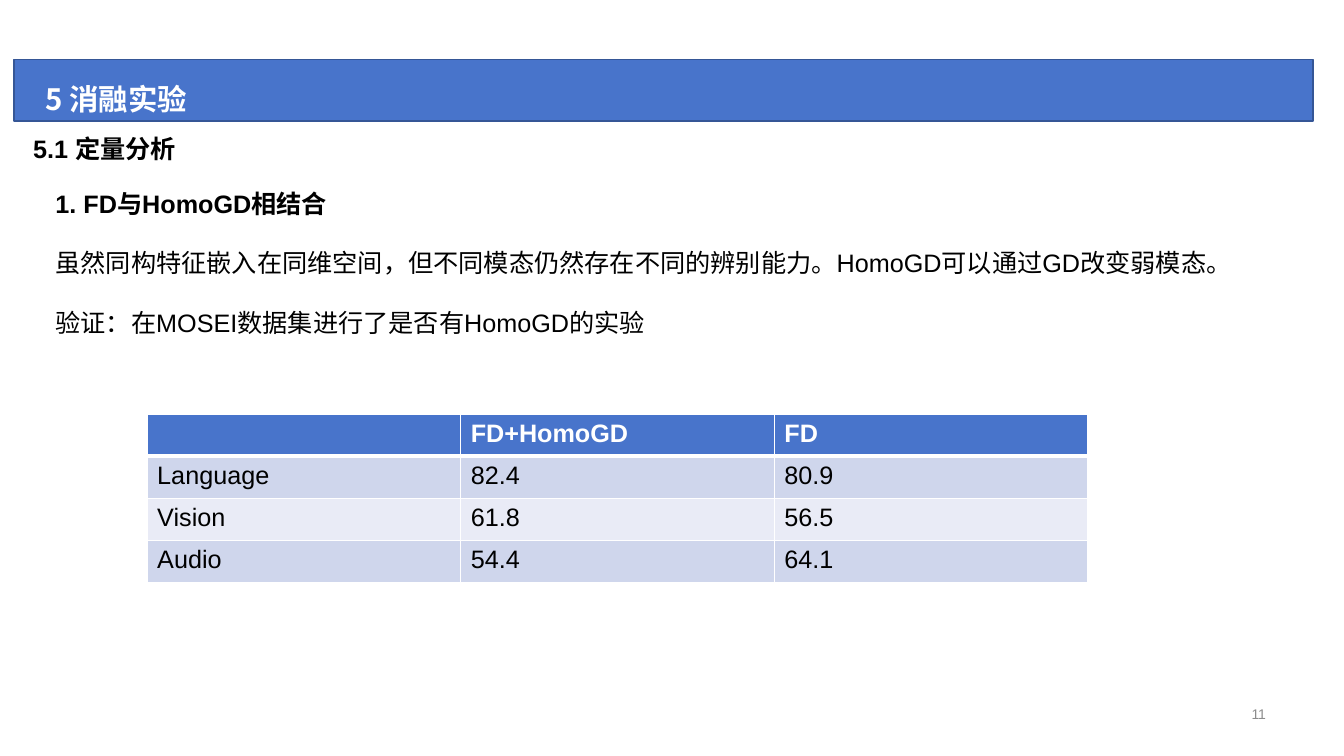
import pptx
import pptx.util
import pptx.dml.color
import pptx.enum.shapes
import pptx.enum.text
import pptx.oxml.ns
from lxml import etree

Pt = pptx.util.Pt
PP_ALIGN = pptx.enum.text.PP_ALIGN
ANCHOR = pptx.enum.text.MSO_ANCHOR

COLORS = {
    "blue": "4874CB",
    "bar_line": "355696",
    "band_dark": "CFD6EC",
    "band_light": "E9EBF6",
    "white": "FFFFFF",
    "black": "000000",
    "gray": "8C8C8C",
}
FONT = "Arial"
TITLE_FONT = "Noto Sans CJK SC"
BODY = [
    "1. FD与HomoGD相结合",
    "虽然同构特征嵌入在同维空间，但不同模态仍然存在不同的辨别能力。HomoGD可以通过GD改变弱模态。",
    "验证：在MOSEI数据集进行了是否有HomoGD的实验",
]
RESULTS = [
    ["", "FD+HomoGD", "FD"],
    ["Language", "82.4", "80.9"],
    ["Vision", "61.8", "56.5"],
    ["Audio", "54.4", "64.1"],
]


def rgb(name):
    return pptx.dml.color.RGBColor.from_string(COLORS[name])


def format_paragraph(p, size, color, bold=False, font=FONT, align=PP_ALIGN.LEFT):
    p.alignment = align
    p.line_spacing = 1
    p.space_before = Pt(0)
    for r in p.runs:
        r.font.name = font
        r.font.size = Pt(size)
        r.font.bold = bold
        r.font.color.rgb = rgb(color)


def place(sp, left, top, width, height):
    sp.left, sp.top, sp.width, sp.height = Pt(left), Pt(top), Pt(width), Pt(height)


def set_frame(tf, anchor=ANCHOR.TOP):
    tf.word_wrap = True
    tf.auto_size = pptx.enum.text.MSO_AUTO_SIZE.NONE
    tf.vertical_anchor = anchor


def add_bar(s, left, top, width, height):
    sp = s.shapes.add_shape(pptx.enum.shapes.MSO_SHAPE.RECTANGLE,
                            Pt(left), Pt(top), Pt(width), Pt(height))
    sp.shadow.inherit = False
    sp.fill.solid()
    sp.fill.fore_color.rgb = rgb("blue")
    sp.line.color.rgb = rgb("bar_line")
    sp.line.width = Pt(1)
    return sp


def fill_title(sp, text):
    place(sp, 25.2, 54, 471.6, 32.4)
    tf = sp.text_frame
    tf.text = text
    set_frame(tf)
    format_paragraph(tf.paragraphs[0], 21, "white", True, TITLE_FONT)


def fill_body(sp, lines):
    place(sp, 32.4, 131, 892, 116)
    tf = sp.text_frame
    tf.text = "\n".join(lines)
    set_frame(tf)
    for i, p in enumerate(tf.paragraphs):
        format_paragraph(p, 18, "black", bold=i == 0)
        p.space_after = Pt(20.7)
        pPr = p._p.get_or_add_pPr()
        pPr.set("marL", "0")
        pPr.set("indent", "0")
        etree.SubElement(pPr, pptx.oxml.ns.qn("a:buNone"))


def add_text(s, text, box, size, color, bold=False, align=PP_ALIGN.LEFT,
             anchor=ANCHOR.TOP):
    sp = s.shapes.add_textbox(*map(Pt, box))
    tf = sp.text_frame
    tf.text = text
    set_frame(tf, anchor)
    format_paragraph(tf.paragraphs[0], size, color, bold, align=align)


def set_borders(cell, widths):
    """Draw white cell borders; widths maps L, R, T and B to points."""
    tcPr = cell._tc.get_or_add_tcPr()
    for i, (side, width) in enumerate(widths.items()):
        ln = etree.Element(pptx.oxml.ns.qn(f"a:ln{side}"), w=str(Pt(width)))
        fill = etree.SubElement(ln, pptx.oxml.ns.qn("a:solidFill"))
        etree.SubElement(fill, pptx.oxml.ns.qn("a:srgbClr"), val=COLORS["white"])
        tcPr.insert(i, ln)


def add_results_table(s, rows, left, top, col_width, row_height):
    n_rows, n_cols = len(rows), len(rows[0])
    table = s.shapes.add_table(n_rows, n_cols, Pt(left), Pt(top),
                               Pt(col_width * n_cols), Pt(row_height * n_rows)).table
    for i, row in enumerate(rows):
        header = i == 0
        fill = "blue" if header else "band_dark" if i % 2 else "band_light"
        for j, text in enumerate(row):
            cell = table.cell(i, j)
            cell.text = text
            cell.fill.solid()
            cell.fill.fore_color.rgb = rgb(fill)
            format_paragraph(cell.text_frame.paragraphs[0], 18,
                             "white" if header else "black", header)
            set_borders(cell, {"L": 1, "R": 1, "T": 3 if i == 1 else 1,
                               "B": 3 if header else 1})


def main():
    prs = pptx.Presentation()
    prs.slide_width, prs.slide_height = Pt(960), Pt(540)
    s = prs.slides.add_slide(prs.slide_layouts[1])
    title, body = s.placeholders[0], s.placeholders[1]

    bar = add_bar(s, 10, 42.5, 928, 44)
    title.element.addprevious(bar.element)
    fill_title(title, "5 消融实验")
    add_text(s, "5.1 定量分析", (16.6, 91.4, 319.7, 28.8), 18, "black", True)
    fill_body(body, BODY)
    add_results_table(s, RESULTS, 105.1, 295.9, 224, 30)
    add_text(s, "11", (699, 497.5, 212.4, 25.2), 10, "gray",
             align=PP_ALIGN.RIGHT, anchor=ANCHOR.MIDDLE)
    prs.save("out.pptx")


if __name__ == "__main__":
    main()
